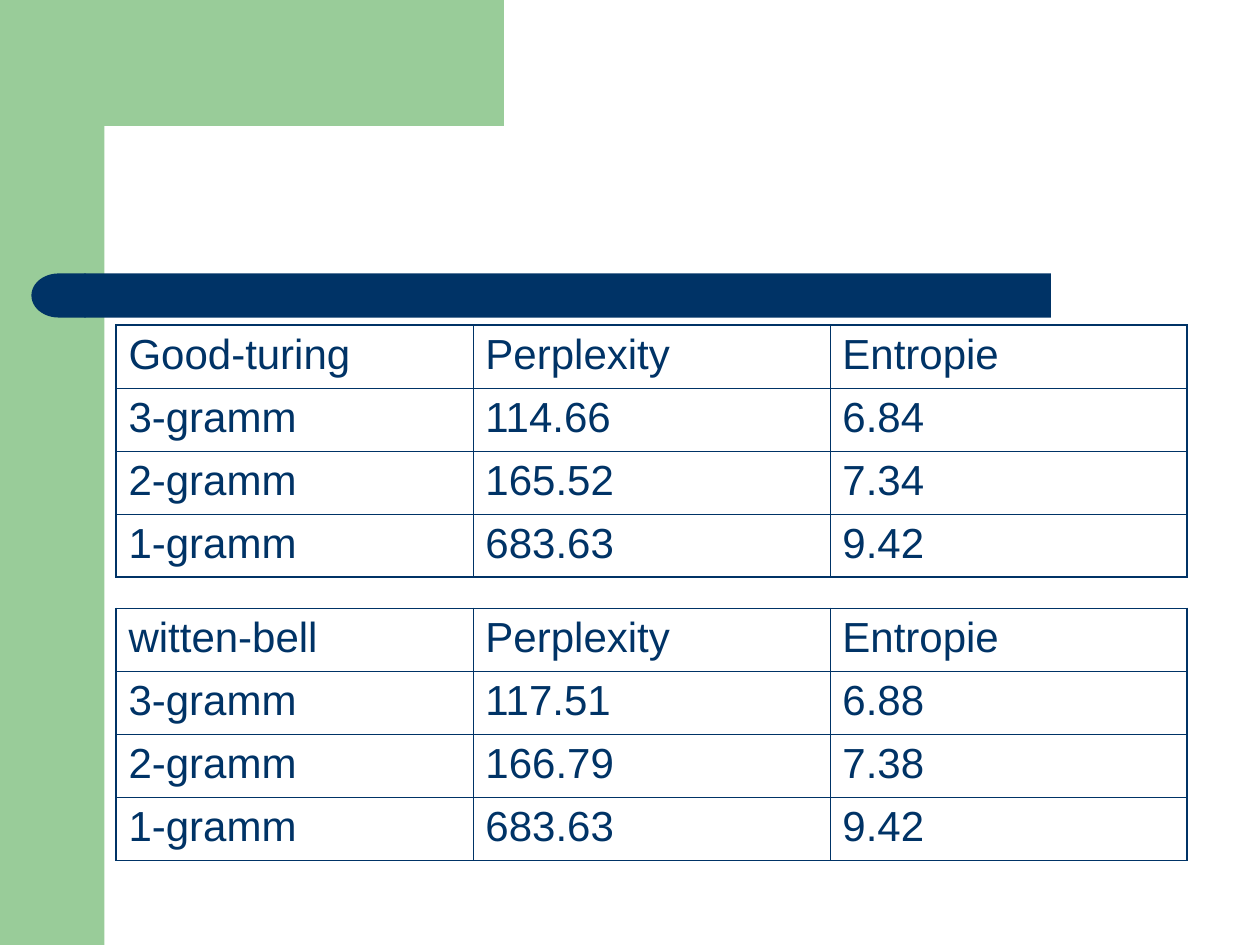
import math

from lxml import etree
from pptx import Presentation
from pptx.dml.color import RGBColor
from pptx.enum import shapes
from pptx.oxml import ns
from pptx.util import Inches, Pt

GREEN, NAVY = "99CC99", "003366"
THICK, THIN = 1.08, 0.45

TABLE_LEFT, TABLE_WIDTH, ROW_HEIGHT = 0.92, 8.5, 0.5
TABLES = [
    (2.58, [
        ("Good-turing", "Perplexity", "Entropie"),
        ("3-gramm", "114.66", "6.84"),
        ("2-gramm", "165.52", "7.34"),
        ("1-gramm", "683.63", "9.42"),
    ]),
    (4.83, [
        ("witten-bell", "Perplexity", "Entropie"),
        ("3-gramm", "117.51", "6.88"),
        ("2-gramm", "166.79", "7.38"),
        ("1-gramm", "683.63", "9.42"),
    ]),
]


def rgb(color):
    return RGBColor.from_string(color)


def paint(shape, color):
    shape.shadow.inherit = False
    shape.fill.solid()
    shape.fill.fore_color.rgb = rgb(color)
    shape.line.fill.background()


def add_block(slide, kind, box, color):
    shape = slide.shapes.add_shape(kind, *map(Inches, box))
    paint(shape, color)
    return shape


def add_corner(slide):
    """Draw the top band with its rounded inner corner."""
    center, radius, steps = 1.16, 0.33, 16
    arc = []
    for step in range(steps + 1):
        angle = math.pi / 2 * step / steps
        arc.append((center - radius * math.sin(angle),
                    center - radius * math.cos(angle)))
    points = [(3.5, 0.83), *arc, (0.83, 1.28), (0.5, 1.28), (0.5, 0)]
    builder = slide.shapes.build_freeform(3.5, 0, scale=Inches(1))
    builder.add_line_segments(points, close=True)
    paint(builder.convert_to_shape(), GREEN)


def set_borders(cell, widths):
    properties = cell._tc.get_or_add_tcPr()
    for side, width in widths.items():
        line = etree.SubElement(properties, ns.qn(f"a:ln{side}"), w=str(Pt(width)))
        fill = etree.SubElement(line, ns.qn("a:solidFill"))
        etree.SubElement(fill, ns.qn("a:srgbClr"), val=NAVY)


def fill_cell(cell, content):
    cell.fill.background()
    paragraph = cell.text_frame.paragraphs[0]
    paragraph.space_before = Pt(6)
    run = paragraph.add_run()
    run.text = content
    run.font.name = "Arial"
    run.font.size = Pt(24)
    run.font.color.rgb = rgb(NAVY)


def add_results(slide, top, rows):
    row_count, column_count = len(rows), len(rows[0])
    frame = slide.shapes.add_table(
        row_count, column_count, Inches(TABLE_LEFT), Inches(top),
        Inches(TABLE_WIDTH), Inches(ROW_HEIGHT * row_count))
    table = frame.table
    table.first_row = table.horz_banding = False
    for i, row in enumerate(rows):
        for j, content in enumerate(row):
            cell = table.cell(i, j)
            outer = {"L": j == 0, "R": j == column_count - 1,
                     "T": i == 0, "B": i == row_count - 1}
            set_borders(cell, {side: THICK if edge else THIN
                               for side, edge in outer.items()})
            fill_cell(cell, content)


def main():
    presentation = Presentation()
    presentation.slide_width = Inches(10)
    presentation.slide_height = Inches(7.5)
    slide = presentation.slides.add_slide(presentation.slide_layouts[6])

    kinds = shapes.MSO_SHAPE
    add_block(slide, kinds.RECTANGLE, (0, 0, 0.83, 7.5), GREEN)
    add_corner(slide)
    bar = add_block(slide, kinds.ROUNDED_RECTANGLE, (0.67, 2.17, 7.67, 0.35), NAVY)
    bar.adjustments[0] = 0
    bar_end = add_block(slide, kinds.FLOWCHART_DELAY, (0.25, 2.17, 0.43, 0.35), NAVY)
    bar_end._element.spPr.xfrm.set("flipH", "1")

    for top, rows in TABLES:
        add_results(slide, top, rows)
    presentation.save("out.pptx")


if __name__ == "__main__":
    main()
